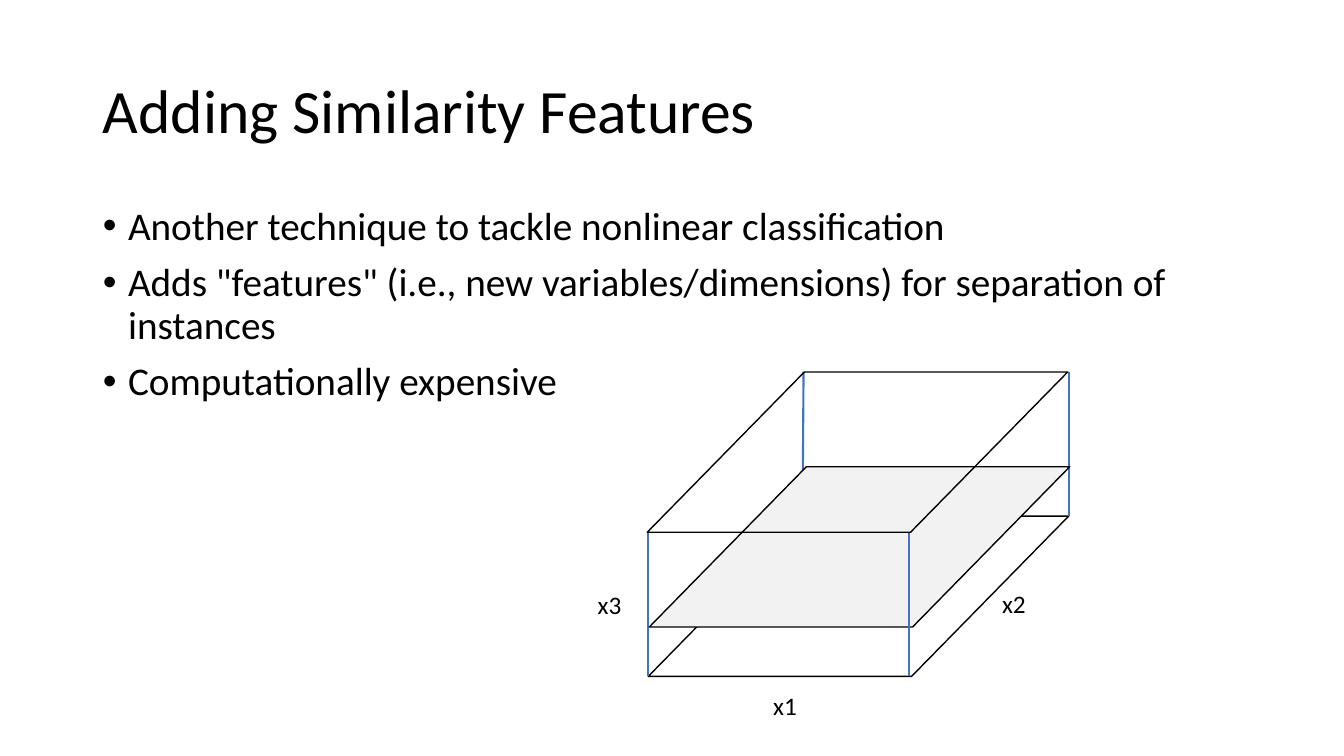
from lxml import etree
from pptx import Presentation
from pptx import util as u
from pptx.dml.color import RGBColor
from pptx.enum import shapes, text
from pptx.oxml.ns import qn

PX = 9144
BLACK, BLUE, GREY = "000000", "4472C4", "F2F2F2"


def color(hex_code):
    return RGBColor.from_string(hex_code)


def write(shape, lines, size, anchor=text.MSO_ANCHOR.TOP, spacing=1.0, before=0, bullet=None):
    frame = shape.text_frame
    frame.word_wrap = True
    frame.auto_size = text.MSO_AUTO_SIZE.NONE
    frame.vertical_anchor = anchor
    for index, line in enumerate(lines):
        paragraph = frame.paragraphs[0] if index == 0 else frame.add_paragraph()
        paragraph.text = line
        paragraph.alignment = text.PP_ALIGN.LEFT
        paragraph.line_spacing = spacing
        paragraph.space_before = u.Pt(before if index else 0)
        if bullet:
            properties = paragraph._p.get_or_add_pPr()
            properties.set("marL", str(25 * PX))
            properties.set("indent", str(-25 * PX))
            etree.SubElement(properties, qn("a:buFont")).set("typeface", "Arial")
            etree.SubElement(properties, qn("a:buChar")).set("char", bullet)
        paragraph.font.name = "Calibri"
        paragraph.font.size = u.Pt(size)
        paragraph.font.color.rgb = color(BLACK)


presentation = Presentation()
presentation.slide_width = 1333 * PX
presentation.slide_height = 750 * PX
slide = presentation.slides.add_slide(presentation.slide_layouts[1])
title, body = slide.placeholders

for placeholder, top, height in [(title, 40, 145), (body, 200, 476)]:
    placeholder.left, placeholder.top = 92 * PX, top * PX
    placeholder.width, placeholder.height = 1150 * PX, height * PX

write(title, ["Adding Similarity Features"], 44, anchor=text.MSO_ANCHOR.MIDDLE, spacing=0.9)
write(body, [
    "Another technique to tackle nonlinear classification",
    'Adds "features" (i.e., new variables/dimensions) for separation of instances',
    "Computationally expensive",
], 28, spacing=0.9, before=10, bullet="•")

base = ("plane", 643, 512, None)
back_left = ("edge", 796, 512, 797, 369)
back_right = ("edge", 1060, 512, 1060, 369)
front_left = ("edge", 643, 671, 643, 529)
front_right = ("edge", 902, 671, 902, 529)
separator = ("plane", 644, 463, GREY)
lid = ("plane", 642, 369, None)

for kind, *values in [base, front_left, back_left, back_right, separator, lid, front_right]:
    if kind == "plane":
        left, top, fill = values
        plane = slide.shapes.add_shape(
            shapes.MSO_SHAPE.PARALLELOGRAM, left * PX, top * PX, 417 * PX, 159 * PX)
        plane.adjustments[0] = 0.98
        plane.shadow.inherit = False
        plane.line.color.rgb = color(BLACK)
        plane.line.width = u.Pt(1)
        if fill:
            plane.fill.solid()
            plane.fill.fore_color.rgb = color(fill)
        else:
            plane.fill.background()
    else:
        edge = slide.shapes.add_connector(
            shapes.MSO_CONNECTOR.STRAIGHT, *[value * PX for value in values])
        edge.line.color.rgb = color(BLUE)
        edge.line.width = u.Pt(1.5)
        etree.SubElement(edge._element.spPr, qn("a:effectLst"))

for name, left, top in [("x1", 757, 680), ("x2", 984, 579), ("x3", 583, 580)]:
    label = slide.shapes.add_textbox(left * PX, top * PX, 58 * PX, 40 * PX)
    write(label, [name], 18)

presentation.save("out.pptx")
